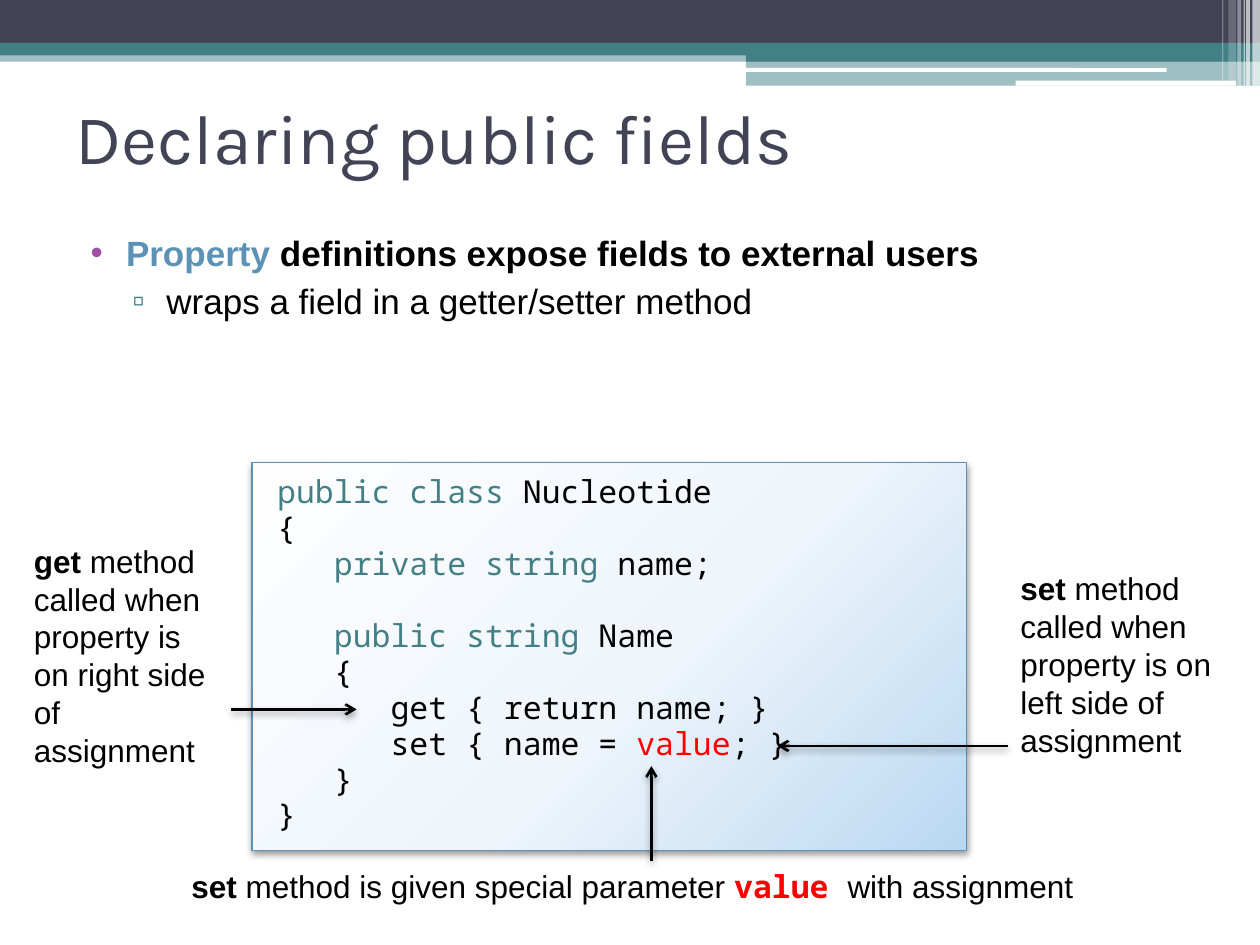
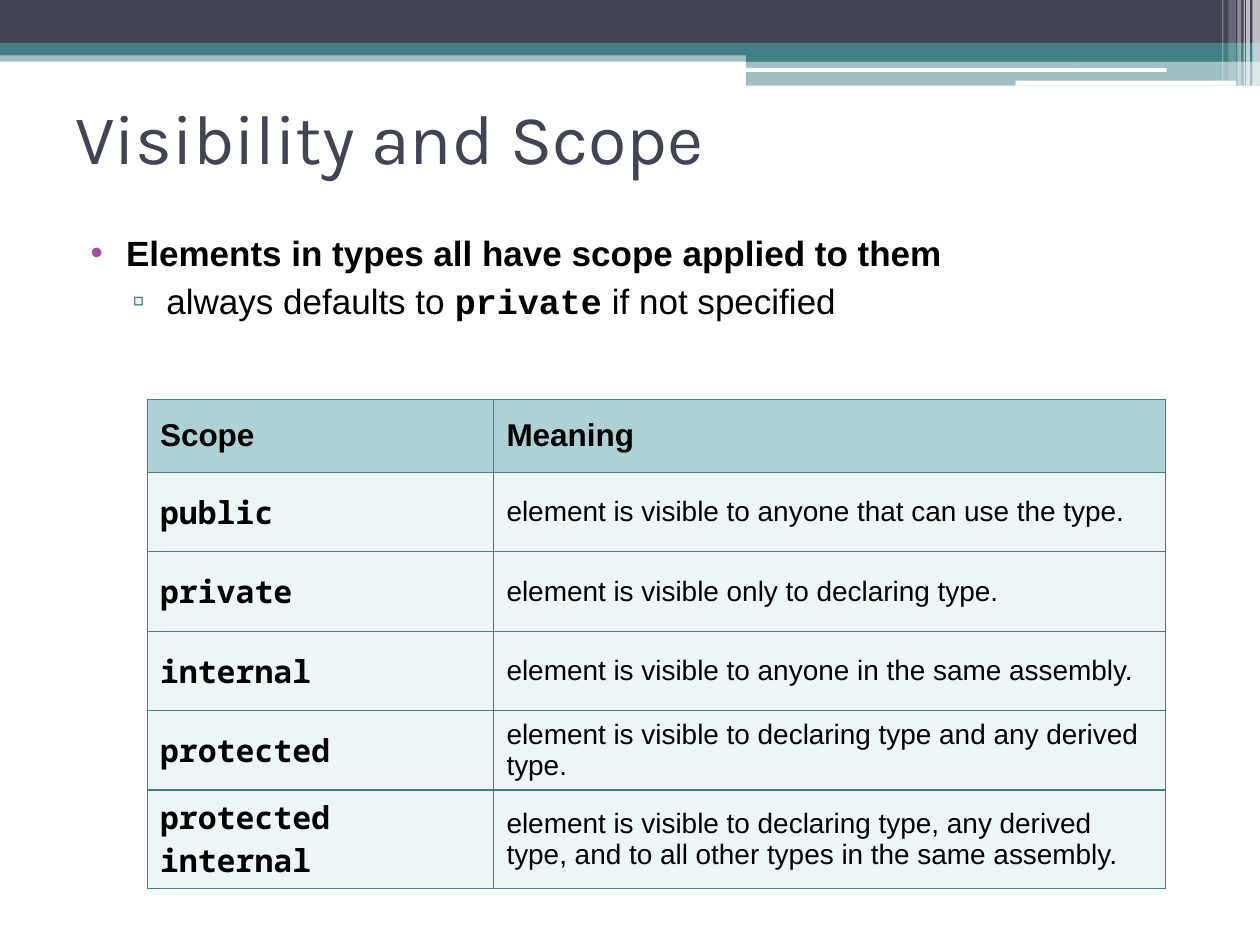
from lxml import etree
from pptx import Presentation
from pptx.dml.color import RGBColor
from pptx.enum.shapes import MSO_CONNECTOR, MSO_SHAPE
from pptx.enum.text import MSO_ANCHOR, MSO_AUTO_SIZE, PP_ALIGN
from pptx.oxml.ns import qn
from pptx.util import Inches, Pt

RECT, ROUND = MSO_SHAPE.RECTANGLE, MSO_SHAPE.ROUNDED_RECTANGLE
STRAIGHT = MSO_CONNECTOR.STRAIGHT
LEFT, MIDDLE, TOP = PP_ALIGN.LEFT, MSO_ANCHOR.MIDDLE, MSO_ANCHOR.TOP
NO_FIT = MSO_AUTO_SIZE.NONE

NS = "http://schemas.openxmlformats.org/drawingml/2006/main"
SANS, MONO, HEAD = "Arial", "Noto Sans Mono", "Karla"
BLACK, WHITE, RED = "000000", "FFFFFF", "FF0000"
NAVY, TEAL, BLUE, PLUM = "424456", "438086", "5C92B5", "A04DA3"
rgb = RGBColor.from_string

SHADOW = ('<a:effectLst><a:outerShdw blurRad="52000" dist="25400" dir="5400000" rotWithShape="0">'
          '<a:srgbClr val="000000"><a:alpha val="40000"/></a:srgbClr></a:outerShdw></a:effectLst>')


def graft(parent, xml):
    """Append DrawingML elements, given as text, to parent."""
    for child in etree.fromstring(f'<x xmlns:a="{NS}">{xml}</x>'):
        parent.append(child)


def write(par, size, *parts, face=SANS):
    """Fill a paragraph; a part is text, bold, colour and font, the last three optional."""
    parts = [tuple(part) + (False, BLACK, face)[len(part) - 1:] for part in parts]
    _, bold, ink, face = parts[0]
    font = par.font
    font.size, font.name, font.bold, font.color.rgb = Pt(size), face, bold, rgb(ink)
    for text, *look in parts:
        run = par.add_run()
        run.text = text
        if look[0] != bold:
            run.font.bold = look[0]
        if look[1] != ink:
            run.font.color.rgb = rgb(look[1])
        if look[2] != face:
            run.font.name = look[2]


# left, top, width, height, colour, opacity, shape
bands = [
    (0, 0.4, 10, 0.09, TEAL, 50, RECT),
    (0, 0, 10, 0.34, NAVY, 100, RECT),
    (0, 0.34, 10, 0.1, TEAL, 100, RECT),
    (5.92, 0.39, 4.08, 0.1, TEAL, 100, RECT),
    (5.92, 0.48, 4.08, 0.2, TEAL, 50, RECT),
    (5.91, 0.54, 3.35, 0.03, WHITE, 100, ROUND),
    (8.06, 0.64, 1.75, 0.04, WHITE, 100, ROUND),
    (9.94, 0, 0.06, 0.68, WHITE, 65, RECT),
    (9.89, 0, 0.03, 0.68, WHITE, 65, RECT),
    (9.87, 0, 0.01, 0.68, WHITE, 60, RECT),
    (9.82, 0, 0.03, 0.68, WHITE, 40, RECT),
    (9.75, 0, 0.06, 0.64, WHITE, 20, RECT),
    (9.7, 0, 0.01, 0.64, WHITE, 30, RECT),
]
bullets = [("•", PLUM, 0.4, -0.28), ("▫", TEAL, 0.72, -0.27)]

# title, height of the list, runs of each list line
pages = [
    ("Declaring public fields", 1.83, [
        [("Property ", True, BLUE), ("definitions expose fields to external users", True)],
        [("wraps a field in a getter/setter method",)]]),
    ("Visibility and Scope", 1.58, [
        [("Elements in types all have scope applied to them", True)],
        [("always defaults to ",), ("private", True, BLACK, "Courier New"),
         (" if not specified",)]]),
]

deck = Presentation()
deck.slide_width, deck.slide_height = Inches(10), Inches(7.5)

# Bands, title and list of both slides
for name, height, points in pages:
    slide = deck.slides.add_slide(deck.slide_layouts[1])
    for x, y, w, h, ink, solid, kind in bands:
        band = slide.shapes.add_shape(kind, Inches(x), Inches(y), Inches(w), Inches(h))
        band.shadow.inherit = False
        band.fill.solid()
        band.fill.fore_color.rgb = rgb(ink)
        band.line.fill.background()
        if solid < 100:
            tint = band._element.spPr.find(".//" + qn("a:srgbClr"))
            graft(tint, f'<a:alpha val="{solid * 1000}"/>')

    title, body = slide.placeholders
    for box, top, tall, anchor in ((title, 0.5, 1.17, MIDDLE), (body, 1.75, height, TOP)):
        box.left, box.top, box.width, box.height = Inches(0.5), Inches(top), Inches(9), Inches(tall)
        box.text_frame.auto_size = NO_FIT
        box.text_frame.vertical_anchor = anchor
    par = title.text_frame.paragraphs[0]
    par.alignment = LEFT
    write(par, 40, (name, False, NAVY), face=HEAD)

    frame = body.text_frame
    frame.margin_top = Inches(0.09)
    for level, parts in enumerate(points):
        par = frame.add_paragraph() if level else frame.paragraphs[0]
        par.level = level
        par.space_before = Pt(3 * level)
        sign, ink, left, hang = bullets[level]
        pPr = par._p.get_or_add_pPr()
        pPr.set("marL", str(Inches(left)))
        pPr.set("indent", str(Inches(hang)))
        graft(pPr, f'<a:buClr><a:srgbClr val="{ink}"/></a:buClr><a:buChar char="{sign}"/>')
        write(par, 20, *parts)

fields, scope = deck.slides

# Code panel
panel = fields.shapes.add_shape(RECT, Inches(2), Inches(3.67), Inches(5.67), Inches(3.08))
panel.line.color.rgb = rgb(BLUE)
panel.line.width = Pt(0.75)
panel.fill.gradient()
grad = panel._element.spPr.find(qn("a:gradFill"))
for child in list(grad):
    grad.remove(child)
stops = "".join(f'<a:gs pos="{pos}000"><a:srgbClr val="{ink}"/></a:gs>'
                for pos, ink in ((0, "FEFEFF"), (55, "EFF5FB"), (100, "BAD8F2")))
graft(grad, f'<a:gsLst>{stops}</a:gsLst><a:path path="circle">'
            '<a:fillToRect l="-40000" t="-90000" r="140000" b="190000"/></a:path>')
graft(panel._element.spPr, SHADOW)

code = [
    [("public class", False, TEAL), (" Nucleotide",)],
    [("{",)],
    [("   ",), ("private string", False, TEAL), (" name;",)],
    [("   ",), ("public string ", False, TEAL), ("Name",)],
    [("   {",)],
    [("      get { return name; }",)],
    [("      set { name = ",), ("value", False, RED), ("; }",)],
    [("   }",)],
    [("}",)],
]
frame = panel.text_frame
frame.word_wrap = True
frame.vertical_anchor = TOP
frame.margin_left = frame.margin_right = Inches(0.2)
frame.margin_top = frame.margin_bottom = Inches(0.1)
for row, parts in enumerate(code):
    par = frame.add_paragraph() if row else frame.paragraphs[0]
    par.alignment = LEFT
    par.line_spacing = 0.95
    if row == 3:
        par.space_before = Pt(20.5)
    write(par, 18, *parts, face=MONO)

# Notes around the code, each with its arrow
notes = [
    (0.17, 4.25, 1.58, 1.92, (1.83, 5.63, 2.83, 5.63),
     [("get", True), (" method called when property is on right side of assignment",)]),
    (8, 4.47, 1.83, 1.62, (8, 5.92, 6.17, 5.92),
     [("set", True), (" method called when property is on left side of assignment",)]),
    (1.42, 6.83, 7.58, 0.4, (5.17, 6.83, 5.17, 6.08),
     [("set", True), (" method is given special parameter ",),
      ("value ", True, RED, MONO), ("with assignment",)]),
]
for x, y, w, h, ends, parts in notes:
    note = fields.shapes.add_textbox(Inches(x), Inches(y), Inches(w), Inches(h))
    note.text_frame.word_wrap = True
    write(note.text_frame.paragraphs[0], 18, *parts)
    arrow = fields.shapes.add_connector(STRAIGHT, *map(Inches, ends))
    arrow.line.color.rgb = rgb(BLACK)
    arrow.line.width = Pt(1.5)
    spPr = arrow._element.spPr
    graft(spPr.find(qn("a:ln")), '<a:tailEnd type="arrow"/>')
    graft(spPr, SHADOW)

# Scope table
rows = [
    ("Scope", "Meaning"),
    ("public", "element is visible to anyone that can use the type."),
    ("private", "element is visible only to declaring type."),
    ("internal", "element is visible to anyone in the same assembly."),
    ("protected", "element is visible to declaring type and any derived type."),
    ("protected internal", "element is visible to declaring type, any derived type, "
                           "and to all other types in the same assembly."),
]
edges = "".join(f'<a:{side} w="9525"><a:solidFill><a:srgbClr val="{TEAL}"/></a:solidFill></a:{side}>'
                for side in ("lnL", "lnR", "lnT", "lnB"))
table = scope.shapes.add_table(len(rows), 2, Inches(1.17), Inches(3.17),
                               Inches(8.08), Inches(3.73)).table
table.columns[0].width, table.columns[1].width = Inches(2.75), Inches(5.33)
for r, texts in enumerate(rows):
    table.rows[r].height = Inches(0.63 if r else 0.58)
    for c, text in enumerate(texts):
        cell = table.cell(r, c)
        cell.vertical_anchor = MIDDLE
        graft(cell._tc.get_or_add_tcPr(), edges)
        cell.fill.solid()
        cell.fill.fore_color.rgb = rgb("EDF5F6" if r else "ADD2D6")
        write(cell.text_frame.paragraphs[0], 16 if r and c else 18, (text, not (r and c)),
              face=MONO if r and not c else SANS)

deck.save("out.pptx")
